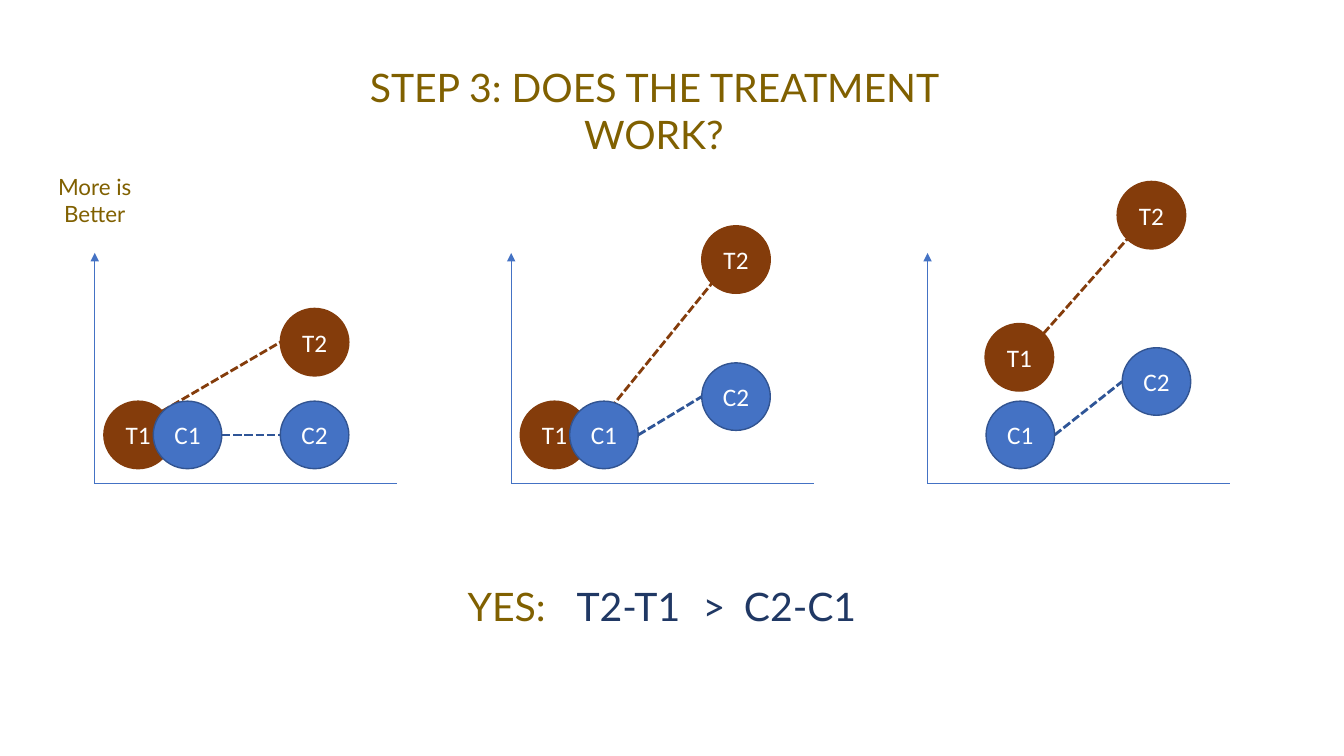
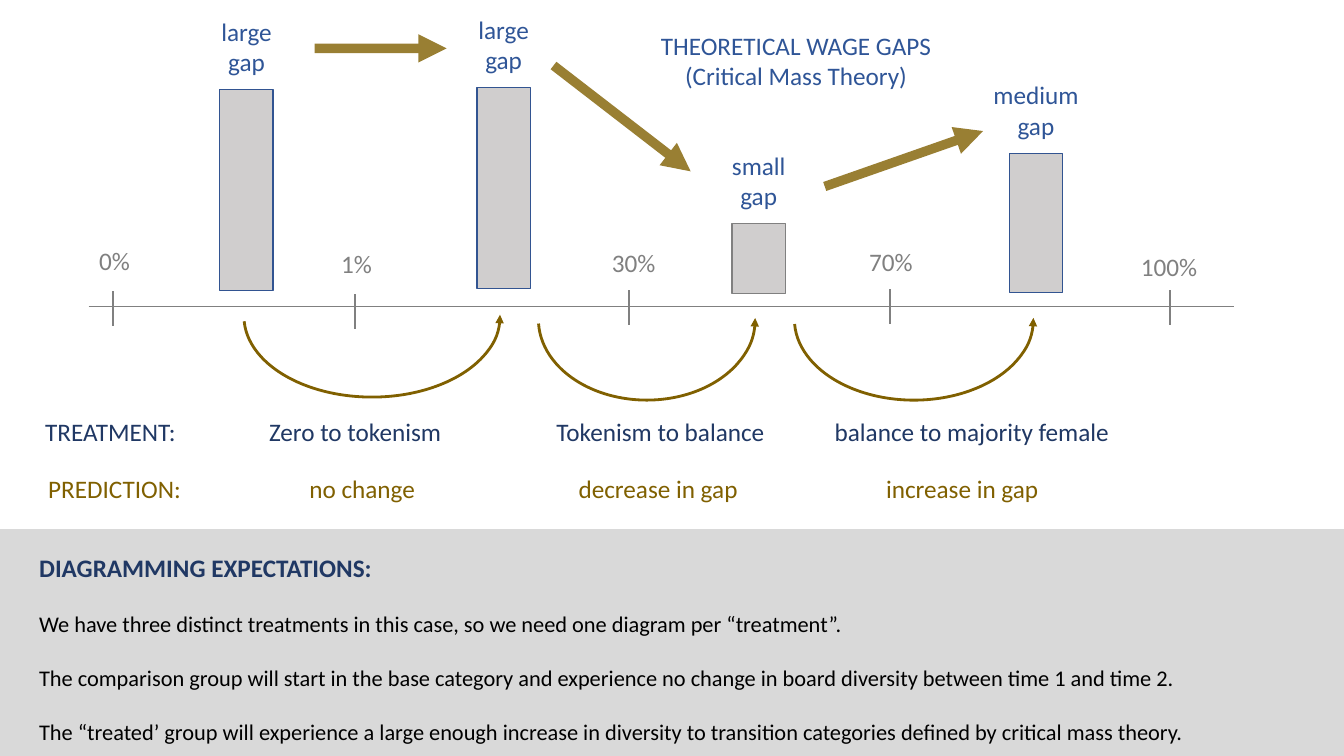
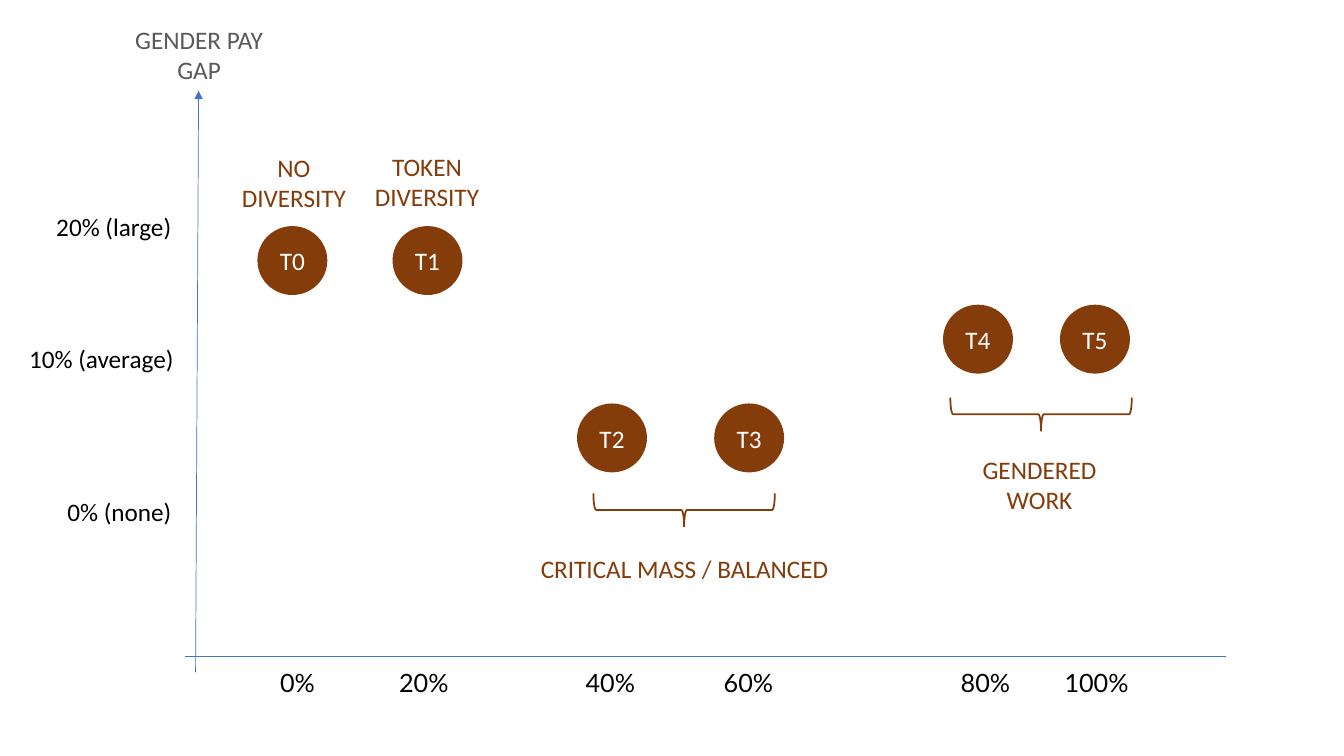
import math
import lxml.etree
import pptx
import pptx.dml.color
import pptx.enum.dml
import pptx.enum.shapes
import pptx.enum.text
import pptx.oxml.ns
import pptx.util

Inches = pptx.util.Inches
Pt = pptx.util.Pt
qn = pptx.oxml.ns.qn
SHAPE = pptx.enum.shapes.MSO_SHAPE
ALIGN = pptx.enum.text.PP_ALIGN
HUES = {
    "blue": "4472C4", "rim": "325491", "mid": "2F5597", "navy": "203864",
    "brown": "843C0B", "gold": "806000", "gray": "808080", "dark": "595959",
    "bar": "D0CECE", "band": "D9D9D9", "black": "000000", "white": "FFFFFF",
}
WIDE, HIGH = 0.68, 0.67


def rim(spot, turn):
    angle = math.radians(turn)
    return (spot[0] + WIDE / 2 * (1 + math.cos(angle)),
            spot[1] + HIGH / 2 * (1 - math.sin(angle)))


class Deck:
    def __init__(self):
        self.file = pptx.Presentation()
        self.file.slide_width = Inches(13.33)
        self.file.slide_height = Inches(7.5)
        self.slide = None

    def page(self):
        self.slide = self.file.slides.add_slide(self.file.slide_layouts[6])

    def hue(self, name):
        return pptx.dml.color.RGBColor.from_string(HUES[name])

    def stroke(self, item, hue, width, dash=False, head=False, alpha=None):
        item.line.color.rgb = self.hue(hue)
        item.line.width = Pt(width)
        if dash:
            item.line.dash_style = pptx.enum.dml.MSO_LINE.SQUARE_DOT
        edge = item.element.spPr.find(qn("a:ln"))
        if alpha:
            tint = edge.find(".//" + qn("a:srgbClr"))
            lxml.etree.SubElement(tint, qn("a:alpha")).set("val", str(alpha * 1000))
        if head:
            lxml.etree.SubElement(edge, qn("a:tailEnd")).set("type", "triangle")

    def line(self, start, end, hue, width, **style):
        kind = pptx.enum.shapes.MSO_CONNECTOR.STRAIGHT
        item = self.slide.shapes.add_connector(kind, *map(Inches, (*start, *end)))
        self.stroke(item, hue, width, **style)
        lxml.etree.SubElement(item.element.spPr, qn("a:effectLst"))

    def shape(self, kind, box, fill=None, edge=None, width=1, head=False):
        item = self.slide.shapes.add_shape(kind, *map(Inches, box))
        if fill:
            item.fill.solid()
            item.fill.fore_color.rgb = self.hue(fill)
        else:
            item.fill.background()
        if edge:
            self.stroke(item, edge, width, head=head)
        else:
            item.line.fill.background()
        item.shadow.inherit = False
        return item

    def run(self, para, text, hue, size=18, font="Calibri", bold=False):
        run = para.add_run()
        run.text = text
        run.font.name = font
        run.font.size = Pt(size)
        run.font.bold = bold
        run.font.color.rgb = self.hue(hue)

    def text(self, box, lines, hue, mid=False, wrap=False, gap=0, tabs=(), **style):
        frame = self.slide.shapes.add_textbox(*map(Inches, box)).text_frame
        frame.word_wrap = wrap
        for n, runs in enumerate(lines):
            para = frame.add_paragraph() if n else frame.paragraphs[0]
            if tabs:
                stops = lxml.etree.SubElement(para._p.get_or_add_pPr(), qn("a:tabLst"))
                for stop in tabs:
                    mark = lxml.etree.SubElement(stops, qn("a:tab"))
                    mark.set("pos", str(Inches(stop)))
                    mark.set("algn", "l")
            para.alignment = ALIGN.CENTER if mid else ALIGN.LEFT
            if n and gap:
                para.space_before = Pt(gap)
            for part in [{"text": runs}] if isinstance(runs, str) else runs:
                self.run(para, **{"hue": hue, **style, **part})

    def dot(self, spot, label, fill="brown", edge="brown"):
        item = self.shape(SHAPE.OVAL, (*spot, WIDE, HIGH), fill, edge)
        frame = item.text_frame
        frame.vertical_anchor = pptx.enum.text.MSO_ANCHOR.MIDDLE
        frame.paragraphs[0].alignment = ALIGN.CENTER
        self.run(frame.paragraphs[0], label, "white")

    def arc(self, box):
        item = self.shape(SHAPE.ARC, box, None, "gold", 2, head=True)
        item.adjustments[0] = 109.297
        item.adjustments[1] = 0.459
        item.element.spPr.find(qn("a:xfrm")).set("flipV", "1")

    def brace(self, box):
        self.shape(SHAPE.RIGHT_BRACE, box, None, "brown", 1.25).rotation = 90


def effects(deck):
    deck.page()
    deck.text((2.88, 0.58, 7.21, 0.57), ["STEP 3: DOES THE TREATMENT WORK?"],
              "gold", mid=True, wrap=True, size=28, font="Lato")
    deck.text((0.36, 1.67, 1.16, 0.64), ["More is Better"],
              "gold", mid=True, wrap=True, size=16, font="Lato")
    panels = [
        ((0.09, 3.98), (1.84, 3.06), (1.84, 3.98), 45, 180),
        ((0.09, 3.98), (1.89, 2.24), (1.89, 3.6), 0, 225),
        ((0.57, 3.21), (1.88, 1.8), (1.93, 3.45), 45, 225),
    ]
    for n, (*spots, leave, reach) in enumerate(panels):
        left, base = 0.94 + 4.13 * n, 4.8
        t1, t2, c2, c1 = [(left + x, y) for x, y in (*spots, (0.58, 3.98))]
        deck.line((left, base), (left, 2.51), "blue", 0.5, head=True)
        deck.line((left, base), (left + 3, base), "blue", 0.5)
        deck.line(rim(t1, leave), rim(t2, reach), "brown", 2, dash=True)
        deck.line(rim(c1, 0), rim(c2, 180), "mid", 2, dash=True)
        deck.dot(t1, "T1")
        deck.dot(t2, "T2")
        deck.dot(c2, "C2", "blue", "rim")
        deck.dot(c1, "C1", "blue", "rim")
    deck.text((4.54, 5.73, 4.57, 0.57),
              [[{"text": "YES:", "hue": "gold"}, {"text": "\tT2-T1\t>\tC2-C1"}]],
              "navy", wrap=True, tabs=(1.08, 2.33, 2.74), size=28, font="Lato")


def gaps(deck):
    deck.page()
    deck.shape(SHAPE.RECTANGLE, (0, 5.25, 13.33, 2.25), "band")
    deck.text((0.29, 5.43, 11.9, 2.29), [
        [{"text": "DIAGRAMMING EXPECTATIONS:", "hue": "navy", "size": 18, "bold": True}],
        "We have three distinct treatments in this case, so we need one diagram per “treatment”.",
        "The comparison group will start in the base category and experience no change in board "
        "diversity between time 1 and time 2.",
        "The “treated’ group will experience a large enough increase in diversity to transition "
        "categories defined by critical mass theory.",
    ], "black", wrap=True, gap=19.5, size=16)
    deck.line((0.88, 3.04), (12.24, 3.04), "gray", 0.5)
    for label, x, top, left, y in [
        ("0%", 1.12, 2.89, 0.41, 2.38), ("1%", 3.52, 2.92, 2.81, 2.41),
        ("30%", 6.24, 2.88, 5.56, 2.4), ("70%", 8.83, 2.87, 8.11, 2.39),
        ("100%", 11.6, 2.88, 10.87, 2.44),
    ]:
        deck.line((x, top), (x, top + 0.34), "gray", 1.5)
        deck.text((left, y, 1.45, 0.4), [label], "gray", mid=True, wrap=True)
    for label, x, y, tall, wide, edge in [
        ("large", 2.18, 0.89, 1.99, 0.71, "rim"), ("large", 4.73, 0.87, 1.99, 0.71, "rim"),
        ("small", 7.26, 2.22, 0.69, 0.74, "gray"), ("medium", 10.01, 1.52, 1.38, 1.06, "rim"),
    ]:
        deck.shape(SHAPE.RECTANGLE, (x, y, 0.53, tall), "bar", edge)
        deck.text((x + (0.53 - wide) / 2, y - 0.78, wide, 0.71), [label, "gap"], "mid", mid=True)
    deck.text((6.44, 0.25, 2.91, 0.71),
              ["THEORETICAL WAGE GAPS", "(Critical Mass Theory)"], "mid", mid=True)
    for x, y, wide in [(2.42, 2.34, 2.54), (5.34, 2.37, 2.15), (7.88, 2.37, 2.37)]:
        deck.arc((x, y, wide, 1.6))
    for start, end in [((3.12, 0.48), (4.43, 0.48)), ((5.49, 0.65), (6.85, 1.7)),
                       ((8.18, 1.85), (9.75, 1.3))]:
        deck.line(start, end, "gold", 6.75, head=True, alpha=80)
    for y, hue, cells in [
        (4.08, "navy", [(0.35, 1.56, "TREATMENT:"), (2.57, 1.93, "Zero to tokenism"),
                        (5.42, 2.29, "Tokenism to balance"),
                        (8.18, 2.95, "balance to majority female")]),
        (4.65, "gold", [(0.38, 1.53, "PREDICTION:"), (2.97, 1.26, "no change"),
                        (5.64, 1.8, "decrease in gap"), (8.69, 1.73, "increase in gap")]),
    ]:
        for x, wide, label in cells:
            deck.text((x, y, wide, 0.4), [label], hue)


def groups(deck):
    deck.page()
    deck.line((1.94, 6.67), (1.97, 0.9), "blue", 0.5, head=True)
    deck.line((1.84, 6.51), (12.16, 6.51), "blue", 0.5)
    deck.text((1.14, 0.19, 1.67, 0.71), ["GENDER PAY GAP"], "dark", mid=True, wrap=True)
    for x, y, wide, label in [(0.46, 2.05, 1.36, "20% (large)"),
                              (0.19, 3.36, 1.65, "10% (average)"),
                              (0.57, 4.87, 1.25, "0% (none)")]:
        deck.text((x, y, wide, 0.4), [label], "black")
    for n, (x, y, left) in enumerate([
        (2.56, 2.25, 2.68), (3.9, 2.25, 3.86), (5.73, 4.01, 5.71),
        (7.09, 4.01, 7.08), (9.36, 3.03, 9.43), (10.52, 3.03, 10.46),
    ]):
        deck.dot((x, y), f"T{n}")
        deck.text((left, 6.57, 1.07, 0.4), [f"{20 * n}%"], "black", wrap=True, font="Lato")
    for box, lines in [
        ((2.29, 1.46, 1.25, 0.71), ["NO", "DIVERSITY"]),
        ((3.61, 1.45, 1.25, 0.71), ["TOKEN", "DIVERSITY"]),
        ((5.22, 5.44, 3.14, 0.4), ["CRITICAL MASS / BALANCED"]),
        ((9.64, 4.46, 1.34, 0.71), ["GENDERED", "WORK"]),
    ]:
        deck.text(box, lines, "brown", mid=True)
    deck.brace((6.62, 4.16, 0.33, 1.8))
    deck.brace((10.16, 3.21, 0.33, 1.8))


def main():
    deck = Deck()
    effects(deck)
    gaps(deck)
    groups(deck)
    deck.file.save("out.pptx")


if __name__ == "__main__":
    main()
